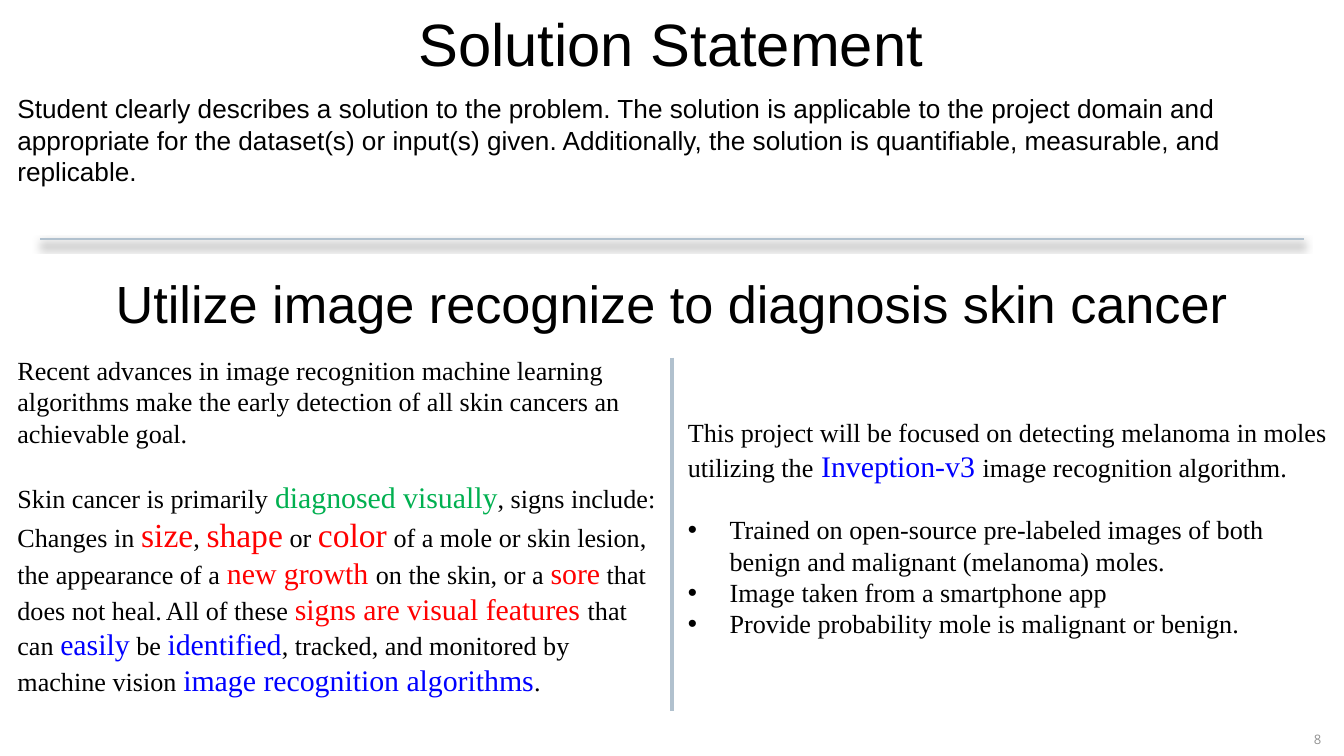
from dataclasses import dataclass

from lxml import etree
from pptx import Presentation
from pptx.dml.color import RGBColor
from pptx.enum import shapes, text
from pptx.oxml import ns
from pptx.util import Cm, Pt


@dataclass(frozen=True)
class Theme:
    sans: str = "Arial"
    serif: str = "Times New Roman"
    number_font: str = "Open Sans"
    black: str = "000000"
    grey: str = "929292"
    rule: str = "B1C1CE"
    green: str = "00B050"
    red: str = "FF0000"
    blue: str = "0000FF"
    title: int = 32
    heading: int = 28
    large: int = 18
    medium: int = 16
    body: int = 14
    small: int = 8
    number: int = 7


theme = Theme()
plain = (theme.body, theme.black)
tiny = (theme.small, theme.black)
green = (theme.medium, theme.green)
red = (theme.medium, theme.red)
big_red = (theme.large, theme.red)
blue = (theme.medium, theme.blue)

prs = Presentation()
prs.slide_width, prs.slide_height = Cm(25.4), Cm(14.29)
s = prs.slides.add_slide(prs.slide_layouts[6])


def add_text(box, paragraphs, font, size, color=theme.black, align=text.PP_ALIGN.LEFT):
    sp = s.shapes.add_textbox(*map(Cm, box))
    tf = sp.text_frame
    tf.word_wrap = True
    tf.auto_size = text.MSO_AUTO_SIZE.SHAPE_TO_FIT_TEXT
    for i, content in enumerate(paragraphs):
        p = tf.add_paragraph() if i else tf.paragraphs[0]
        p.alignment = align
        p.font.name = font
        if isinstance(content, str):
            p.text = content
            p.font.size = Pt(size)
            p.font.color.rgb = RGBColor.from_string(color)
            continue
        for words, (run_size, run_color) in content:
            r = p.add_run()
            r.text = words
            r.font.size = Pt(run_size)
            r.font.color.rgb = RGBColor.from_string(run_color)
    return tf


def add_rule(x1, y1, x2, y2, width):
    line = s.shapes.add_connector(shapes.MSO_CONNECTOR.STRAIGHT, Cm(x1), Cm(y1), Cm(x2), Cm(y2))
    line.line.color.rgb = RGBColor.from_string(theme.rule)
    line.line.width = Pt(width)
    return etree.SubElement(line._element.spPr, ns.qn("a:effectLst"))


center = text.PP_ALIGN.CENTER

tf = add_text((24.71, 13.77, 0.38, 0.43), ["8"], theme.number_font, theme.number, theme.grey, center)
tf.auto_size = text.MSO_AUTO_SIZE.NONE
tf.margin_left = tf.margin_right = tf.margin_top = tf.margin_bottom = Cm(0.05)

add_text((0.76, 0, 23.85, 1.63), ["Solution Statement"], theme.sans, theme.title, align=center)
add_text(
    (0.08, 1.63, 25.27, 2.06),
    ["Student clearly describes a solution to the problem. The solution is applicable to the project "
     "domain and appropriate for the dataset(s) or input(s) given. Additionally, the solution is "
     "quantifiable, measurable, and replicable."],
    theme.sans, theme.body,
)

effects = add_rule(0.76, 4.52, 24.64, 4.52, 1.5)
shadow = etree.SubElement(
    effects, ns.qn("a:outerShdw"),
    blurRad=str(Pt(4)), dist=str(Pt(3)), dir="5400000", rotWithShape="0",
)
shade = etree.SubElement(shadow, ns.qn("a:srgbClr"), val=theme.black)
etree.SubElement(shade, ns.qn("a:alpha"), val="40000")

tf = add_text(
    (0.08, 5.92, 12.7, 7.52),
    [
        "Recent advances in image recognition machine learning algorithms make the early detection "
        "of all skin cancers an achievable goal.",
        [
            ("Skin cancer is primarily ", plain),
            ("diagnosed visually", green),
            (", signs include: Changes in ", plain),
            ("size", big_red),
            (", ", plain),
            ("shape", big_red),
            (" or ", plain),
            ("color", big_red),
            (" of a mole or skin lesion, the appearance of a ", plain),
            ("new growth ", red),
            ("on the skin, or a ", plain),
            ("sore", red),
            (" that does not heal.", plain),
            (" ", tiny),
            ("All of these ", plain),
            ("signs are visual features ", red),
            ("that can ", plain),
            ("easily", blue),
            (" be ", plain),
            ("identified", blue),
            (", tracked, and monitored by machine vision ", plain),
            ("image recognition algorithms", blue),
            (".", plain),
        ],
    ],
    theme.serif, theme.body,
)
tf.margin_top = Cm(0.78)
tf.paragraphs[1].space_before = Pt(16)

tf = add_text(
    (12.75, 7.75, 12.62, 4.52),
    [
        [
            ("This project will be focused on detecting melanoma in moles utilizing the", plain),
            (" Inveption-v3 ", blue),
            ("image recognition algorithm.", plain),
        ],
        "Trained on open-source pre-labeled images of both benign and malignant (melanoma) moles.",
        "Image taken from a smartphone app",
        "Provide probability mole is malignant or benign.",
    ],
    theme.serif, theme.body,
)
tf.paragraphs[1].space_before = Pt(16)
for p in tf.paragraphs[1:]:
    pPr = p._p.get_or_add_pPr()
    pPr.set("marL", str(Cm(0.79)))
    pPr.set("indent", str(-Cm(0.79)))
    bullet_font = etree.Element(ns.qn("a:buFont"), typeface=theme.sans)
    bullet = etree.Element(ns.qn("a:buChar"), char="•")
    defaults = pPr.find(ns.qn("a:defRPr"))
    defaults.addprevious(bullet_font)
    defaults.addprevious(bullet)

add_text(
    (0.76, 5, 23.85, 1.45), ["Utilize image recognize to diagnosis skin cancer"],
    theme.sans, theme.heading, align=center,
)
add_rule(12.7, 6.76, 12.7, 13.44, 2.25)

prs.save("out.pptx")
